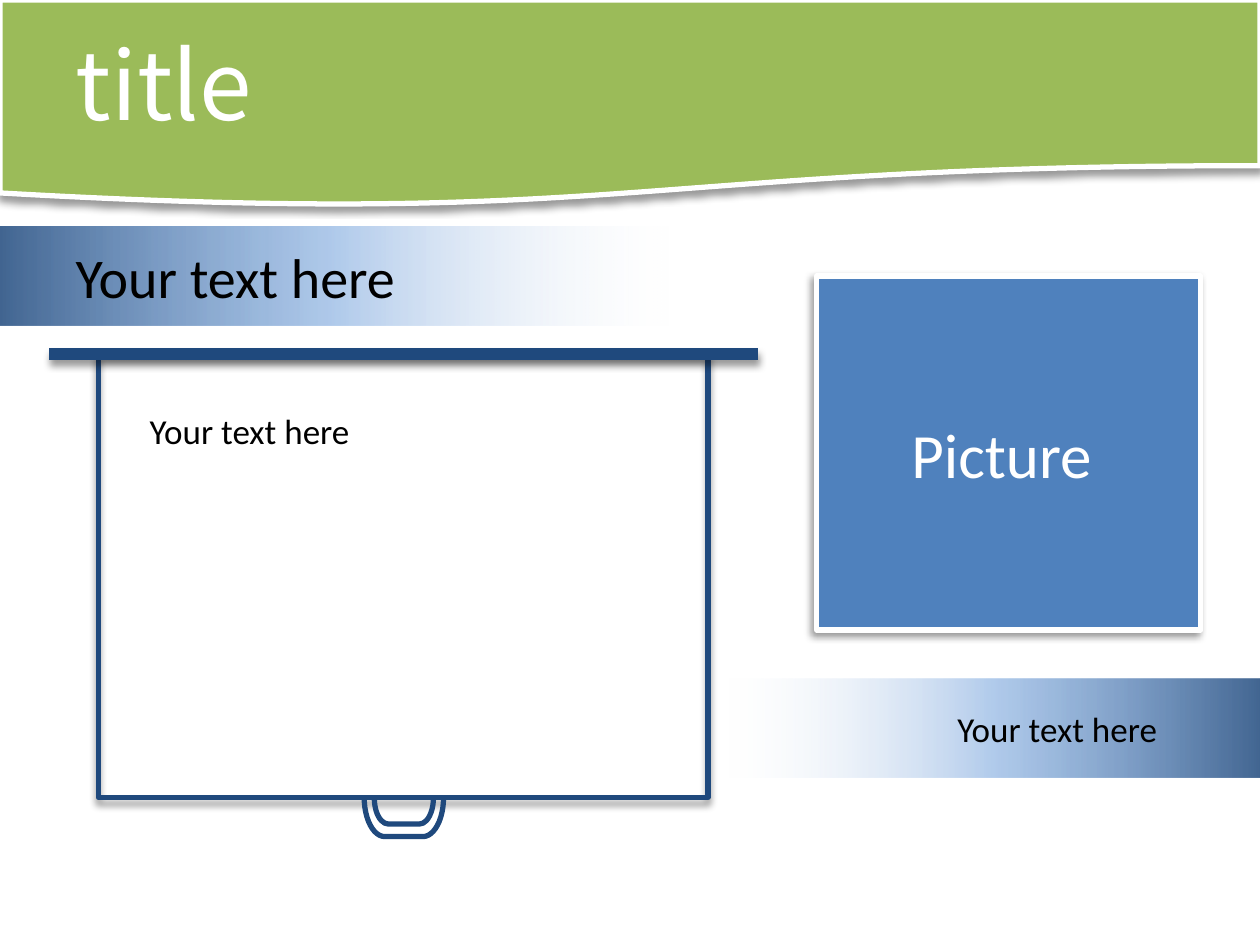
"""Build a title slide with a projection screen, a picture box and faded banners."""
from lxml import etree
from pptx import Presentation
from pptx.dml.color import RGBColor
from pptx.enum.shapes import MSO_CONNECTOR, MSO_SHAPE
from pptx.enum.text import MSO_ANCHOR, PP_ALIGN
from pptx.oxml.ns import qn
from pptx.util import Inches, Pt

RECT, WAVE, BRACKET = MSO_SHAPE.RECTANGLE, MSO_SHAPE.FLOWCHART_DOCUMENT, MSO_SHAPE.RIGHT_BRACKET
STRAIGHT = MSO_CONNECTOR.STRAIGHT
LEFT, CENTER = PP_ALIGN.LEFT, PP_ALIGN.CENTER
TOP, MIDDLE = MSO_ANCHOR.TOP, MSO_ANCHOR.MIDDLE
COLORS = {"green": "9BBB59", "navy": "1F497D", "blue": "4F81BD", "sky": "558ED5",
          "pale": "E1E8F5", "white": "FFFFFF", "black": "000000"}
FADE = [(0, "navy", 84), (50, "sky", 46), (100, "pale", 0)]


def rgb(name):
    return RGBColor.from_string(COLORS[name])


class Deck:
    """Hold the style and the current slide."""

    def __init__(self, width, height):
        self.prs = Presentation()
        self.prs.slide_width, self.prs.slide_height = Inches(width), Inches(height)
        self.s = self.prs.slides.add_slide(self.prs.slide_layouts[5])

    def color(self, parent, name, alpha):
        clr = etree.SubElement(parent, qn("a:srgbClr"), val=COLORS[name])
        etree.SubElement(clr, qn("a:alpha"), val=str(alpha * 1000))

    def shadow(self, effects, angle):
        shadow = etree.SubElement(effects, qn("a:outerShdw"), blurRad=str(Pt(4)), dist=str(Pt(3)),
                                  dir=str(angle * 60000), algn="t", rotWithShape="0")
        self.color(shadow, "black", 40)

    def shape(self, kind, box, fill=None, line=None, shadow=None, rotation=0, adj=None, shapes=None):
        sp = (shapes or self.s.shapes).add_shape(kind, *map(Inches, box))
        sp.rotation = rotation
        if adj is not None:
            sp.adjustments[0] = adj
        if fill:
            sp.fill.solid()
            sp.fill.fore_color.rgb = rgb(fill)
        else:
            sp.fill.background()
        if line:
            sp.line.color.rgb, sp.line.width = rgb(line), Pt(3)
        else:
            sp.line.fill.background()
        sp.shadow.inherit = False
        if shadow is not None:
            self.shadow(sp.element.spPr.find(qn("a:effectLst")), shadow)
        return sp

    def text(self, sp, text, size, color="black", font="Calibri", align=LEFT, anchor=MIDDLE, indent=0):
        tf = sp.text_frame
        frame = {"word_wrap": True, "vertical_anchor": anchor, "margin_left": Inches(0.1 + indent),
                 "margin_right": Inches(0.1), "margin_top": Inches(0.05), "margin_bottom": Inches(0.05)}
        for key, value in frame.items():
            setattr(tf, key, value)
        p = tf.paragraphs[0]
        p.alignment = align
        r = p.add_run()
        r.text = text
        for key, value in {"size": Pt(size), "name": font}.items():
            setattr(r.font, key, value)
        r.font.color.rgb = rgb(color)
        if font != "Calibri":
            etree.SubElement(r.font._element, qn("a:ea"), typeface=font)

    def title(self, text, box, **style):
        sp = self.s.shapes.title
        sp.left, sp.top, sp.width, sp.height = map(Inches, box)
        self.text(sp, text, **style)
        return sp

    def textbox(self, text, box, **style):
        self.text(self.s.shapes.add_textbox(*map(Inches, box)), text, **style)

    def banner(self, text, box, stops, **style):
        sp = self.shape(RECT, box)
        sp.fill.gradient()
        sp.fill.gradient_angle = 0
        gs_list = sp.element.spPr.find(qn("a:gradFill")).find(qn("a:gsLst"))
        for gs in list(gs_list):
            gs_list.remove(gs)
        for pos, name, alpha in stops:
            gs = etree.SubElement(gs_list, qn("a:gs"), pos=str(pos * 1000))
            self.color(gs, name, alpha)
        self.text(sp, text, **style)

    def line(self, start, end, color, width, shadow):
        cn = self.s.shapes.add_connector(STRAIGHT, *map(Inches, start + end))
        cn.line.color.rgb, cn.line.width = rgb(color), Pt(width)
        self.shadow(etree.SubElement(cn.element.spPr, qn("a:effectLst")), shadow)


deck = Deck(10, 7.5)

band = deck.shape(WAVE, (0, 0, 10, 1.64), "green", "white", shadow=90)
title = deck.title("title", (0, 0, 10, 1.32), size=54, color="white",
                   font="Noto Sans CJK JP", indent=0.5)
title.element.addprevious(band.element)

screen = deck.s.shapes.add_group_shape().shapes
deck.shape(RECT, (0.78, 2.81, 4.84, 3.52), line="navy", shadow=90, shapes=screen)
for handle in ((3.1, 6.2, 0.21, 0.47), (3.05, 6.17, 0.31, 0.63)):
    deck.shape(BRACKET, handle, line="navy", rotation=90, adj=0.53, shapes=screen)
deck.line((0.39, 2.81), (6.02, 2.81), "navy", 7, shadow=90)

picture = deck.shape(RECT, (6.48, 2.19, 3.05, 2.81), "blue", "white", shadow=135)
deck.text(picture, "Picture ", 36, "white", align=CENTER)

deck.banner("Your text here", (0, 1.8, 5.31, 0.78), FADE, size=32, indent=0.5)
deck.textbox("Your text here", (1.09, 3.2, 4.14, 0.44), size=20, anchor=TOP)
mirrored = [(100 - pos, name, alpha) for pos, name, alpha in reversed(FADE)]
deck.banner("Your text here", (5.78, 5.39, 4.22, 0.78), mirrored, size=20, align=CENTER, indent=1)

deck.prs.save("out.pptx")
